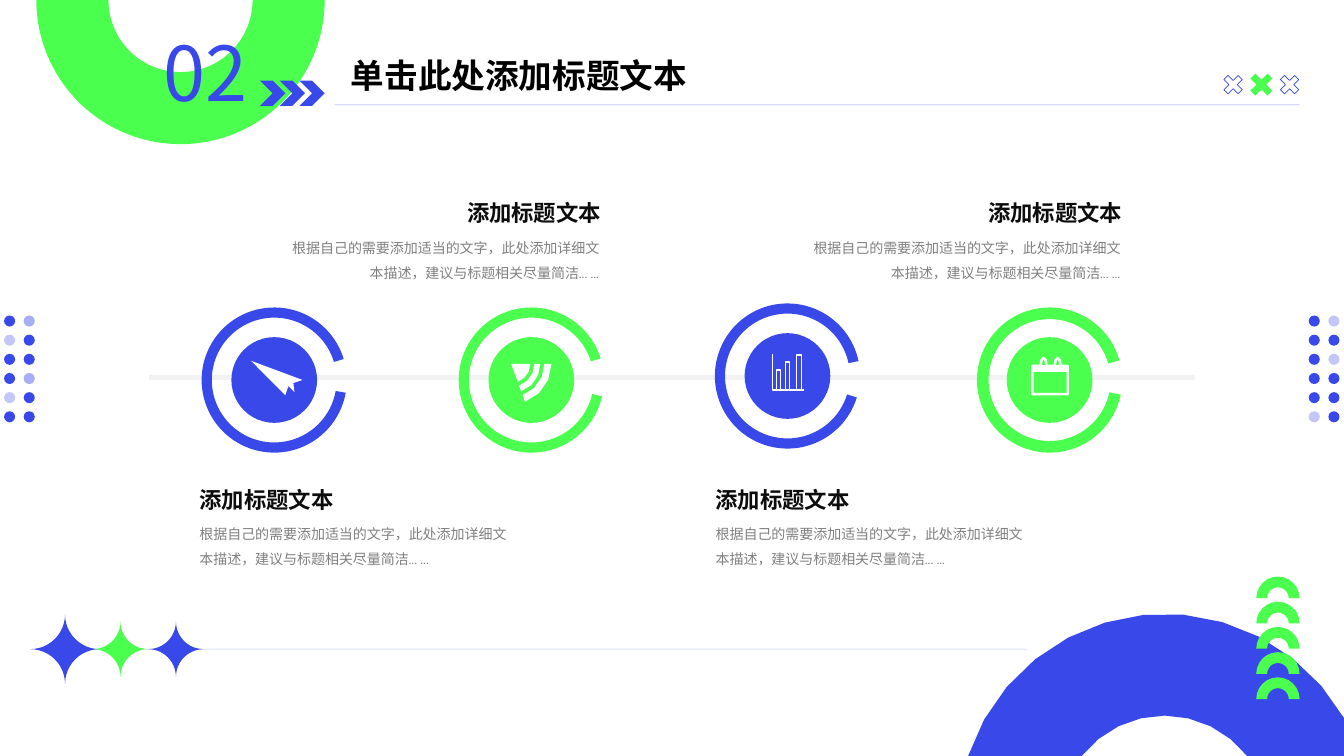
import math
from lxml import etree
from pptx import Presentation
from pptx.dml.color import RGBColor
from pptx.enum.shapes import MSO_CONNECTOR, MSO_SHAPE
from pptx.enum.text import MSO_ANCHOR, MSO_AUTO_SIZE, PP_ALIGN
from pptx.oxml.ns import qn
from pptx.util import Inches, Pt

ARC, OVAL, RECT = MSO_SHAPE.BLOCK_ARC, MSO_SHAPE.OVAL, MSO_SHAPE.RECTANGLE
PLUS, STAR, CHEVRON = MSO_SHAPE.CROSS, MSO_SHAPE.PLAQUE, MSO_SHAPE.CHEVRON
BAR = MSO_SHAPE.FLOWCHART_PROCESS
STRAIGHT = MSO_CONNECTOR.STRAIGHT
LEFT, RIGHT = PP_ALIGN.LEFT, PP_ALIGN.RIGHT
GROW, NO_FIT, TOP = MSO_AUTO_SIZE.SHAPE_TO_FIT_TEXT, MSO_AUTO_SIZE.NONE, MSO_ANCHOR.TOP
C = {"blue": "3948E9", "green": "4AFF4E", "white": "FFFFFF", "track": "F2F2F2",
     "title": "000000", "head": "0D0D0D", "body": "808080"}
LATIN, CJK = "Cabin", "Noto Sans CJK SC"
HEAD = "添加标题文本"
BODY = "根据自己的需要添加适当的文字，此处添加详细文本描述，建议与标题相关尽量简洁... ..."


def paint(fmt, color, alpha=100):
    fmt.solid()
    fmt.fore_color.rgb = RGBColor.from_string(C[color])
    if alpha < 100:
        clr = fmt._xPr.find(".//" + qn("a:srgbClr"))
        etree.SubElement(clr, qn("a:alpha"), val=str(alpha * 1000))


def style(sp, fill=None, line=None, weight=1, alpha=100):
    sp.shadow.inherit = False
    if fill:
        paint(sp.fill, fill, alpha)
    else:
        sp.fill.background()
    if line:
        paint(sp.line.fill, line)
        sp.line.width = Pt(weight)
    else:
        sp.line.fill.background()


def shape(s, kind, x, y, w, h, fill=None, line=None, weight=1, alpha=100, rot=0, adj=()):
    sp = s.shapes.add_shape(kind, Inches(x), Inches(y), Inches(w), Inches(h))
    for i, value in enumerate(adj):
        sp.adjustments[i] = value
    sp.rotation = rot
    style(sp, fill, line, weight, alpha)


def outline(s, contours, x=0, y=0, close=True, **look):
    """Freeform from lists of points measured from (x, y)."""
    fb = None
    for contour in contours:
        pts = [(Inches(x + px), Inches(y + py)) for px, py in contour]
        if fb is None:
            fb = s.shapes.build_freeform(*pts[0])
        else:
            fb.move_to(*pts[0])
        fb.add_line_segments(pts[1:], close=close)
    style(fb.convert_to_shape(), **look)


def arc(cx, cy, rx, ry, start, end, n):
    """Points on an ellipse, angles in radians, counter-clockwise from the right."""
    angles = [start + (end - start) * i / n for i in range(n + 1)]
    return [(cx + rx * math.cos(a), cy - ry * math.sin(a)) for a in angles]


def rule(s, x1, x2, y):
    ln = s.shapes.add_connector(STRAIGHT, Inches(x1), Inches(y), Inches(x2), Inches(y))
    paint(ln.line.fill, "blue", 33)
    ln.line.width = Pt(0.5)
    etree.SubElement(ln._element.spPr, qn("a:effectLst"))


def write(tf, text, size, color, font=LATIN, bold=False, align=LEFT, spacing=None):
    p = tf.paragraphs[0]
    p.alignment = align
    if spacing:
        p.line_spacing = spacing
    r = p.add_run()
    r.text = text
    f = r.font
    f.size, f.bold, f.name = Pt(size), bold, font
    f.color.rgb = RGBColor.from_string(C[color])
    etree.SubElement(r._r.get_or_add_rPr(), qn("a:ea"), typeface=CJK)


def textbox(s, x, y, w, h, text, size, color, wrap=True, **kw):
    tf = s.shapes.add_textbox(Inches(x), Inches(y), Inches(w), Inches(h)).text_frame
    tf.word_wrap = wrap
    tf.auto_size = GROW
    write(tf, text, size, color, **kw)


def corner_ring(s, cx, cy, outer, inner, right, bottom):
    """Ring cut off by the right and bottom edges of the slide."""
    a = math.asin((cy - bottom) / outer)
    b = math.asin((cy - bottom) / inner)
    edge = math.acos((right - cx) / outer)
    pts = arc(cx, cy, outer, outer, math.pi - a, edge, 12) + [(right, bottom)]
    outline(s, [pts + arc(cx, cy, inner, inner, b, math.pi - b, 8)], fill="blue")


def dots(s, x, y, rows):
    for i, row in enumerate(rows):
        for j, alpha in enumerate(row):
            shape(s, OVAL, x + 0.195 * j, y + 0.19 * i, 0.11, 0.11, "blue", alpha=alpha)


def header(s, x, y):
    for i in range(3):
        shape(s, CHEVRON, x + 1.06 + 0.195 * i, y + 0.59, 0.25, 0.25, "blue")
    for dx in (10.61, 11.17):
        shape(s, PLUS, x + dx, y + 0.53, 0.2, 0.2, line="blue", weight=0.5, rot=45, adj=[0.356])
    shape(s, PLUS, x + 10.87, y + 0.51, 0.24, 0.24, "green", rot=45, adj=[0.356])
    rule(s, x + 1.8, x + 11.37, y + 0.83)
    textbox(s, x, y, 1.1, 1.01, "02", 54, "blue", wrap=False, font=CJK)
    title = s.shapes.title
    title.left, title.top = Inches(x + 1.86), Inches(y + 0.28)
    title.width, title.height = Inches(3.97), Inches(0.5)
    tf = title.text_frame
    tf.auto_size, tf.vertical_anchor, tf.word_wrap = NO_FIT, TOP, True
    write(tf, "单击此处添加标题文本", 24, "title", bold=True)


def decoration(s):
    corner_ring(s, 11.55, 8.14, 2.05, 1.04, 13.33, 7.5)
    shape(s, ARC, 0.36, -1.43, 2.86, 2.86, "green", rot=180)
    for i in range(5):
        shape(s, ARC, 12.46, 5.72 + 0.25 * i, 0.43, 0.43, "green")
    dots(s, 0.04, 3.13, [(100, 44), (30, 100), (100, 100)] * 2)
    dots(s, 12.98, 3.13, [(100, 30), (100, 100)] * 2 + [(100, 100), (30, 100)])
    rule(s, 0.48, 10.19, 6.44)
    for x, size, color in ((0.3, 0.69, "blue"), (1.47, 0.55, "blue"), (0.92, 0.55, "green")):
        shape(s, STAR, x, 6.44 - size / 2, size, size, color, adj=[0.5])


# Icons, placed from the corner of their ring
def plane_icon(s, x, y):
    outline(s, [[(0.49, 0.53), (1, 0.72), (0.91, 0.75), (0.92, 0.84), (0.86, 0.78),
                 (0.83, 0.87)]], x, y, fill="white")


def fan_icon(s, x, y):
    sweep = -math.radians(70)
    wedge = [(0.52, 0.56)] + arc(0.52, 0.56, 0.19, 0.19, 0, sweep, 3)
    bands = [arc(0.52, 0.56, r1, r1, 0, sweep, 3) + arc(0.52, 0.56, r0, r0, sweep, 0, 3)
             for r0, r1 in ((0.23, 0.29), (0.33, 0.4))]
    outline(s, [wedge] + bands, x, y, fill="white")


def chart_icon(s, x, y):
    outline(s, [[(0.57, 0.5), (0.57, 0.86), (0.88, 0.86)]], x, y, close=False, line="white")
    for dx, w, h in ((0.61, 0.04, 0.2), (0.7, 0.04, 0.28), (0.81, 0.05, 0.35)):
        shape(s, BAR, x + dx, y + 0.86 - h, w, h, line="white")


def calendar_icon(s, x, y):
    rings = [pt for cx in (0.66, 0.8) for pt in arc(cx, 0.58, 0.03, 0.08, math.pi, 0, 4)]
    page = [(0.55, 0.58)] + rings + [(0.9, 0.58), (0.9, 0.86), (0.55, 0.86)]
    outline(s, [page], x, y, line="white", weight=1.75)
    shape(s, RECT, x + 0.56, y + 0.58, 0.34, 0.05, "white", "white")


def step(s, x, y, color, rot, adj, icon):
    shape(s, ARC, x, y, 1.44, 1.44, color, rot=rot, adj=adj)
    shape(s, OVAL, x + 0.295, y + 0.295, 0.85, 0.85, color)
    icon(s, x, y)


def caption(s, x, y, align):
    indent = 0.82 if align == RIGHT else 0
    textbox(s, x, y + 0.31, 3.24, 0.58, BODY, 10, "body", align=align, spacing=1.5)
    textbox(s, x + indent, y, 2.44, 0.37, HEAD, 16, "head", bold=True, align=align)


def timeline(s):
    shape(s, RECT, 1.48, 3.72, 10.37, 0.05, "track")
    step(s, 2, 3.05, "blue", 225.7, (86.63, 70.46, 0.07), plane_icon)
    step(s, 4.55, 3.05, "green", 224.9, (88.81, 70.61, 0.07), fan_icon)
    step(s, 7.09, 3.01, "blue", 224.7, (91.49, 74.06, 0.07), chart_icon)
    step(s, 9.69, 3.05, "green", 222.2, (89.65, 73.24, 0.08), calendar_icon)
    for x, y, align in ((1.88, 4.77, LEFT), (2.8, 1.93, RIGHT),
                        (7, 4.77, LEFT), (7.97, 1.93, RIGHT)):
        caption(s, x, y, align)


def main():
    prs = Presentation()
    prs.slide_width, prs.slide_height = Inches(13.33), Inches(7.5)
    s = prs.slides.add_slide(prs.slide_layouts[5])
    decoration(s)
    header(s, 1.52, 0.21)
    timeline(s)
    prs.save("out.pptx")


if __name__ == "__main__":
    main()
